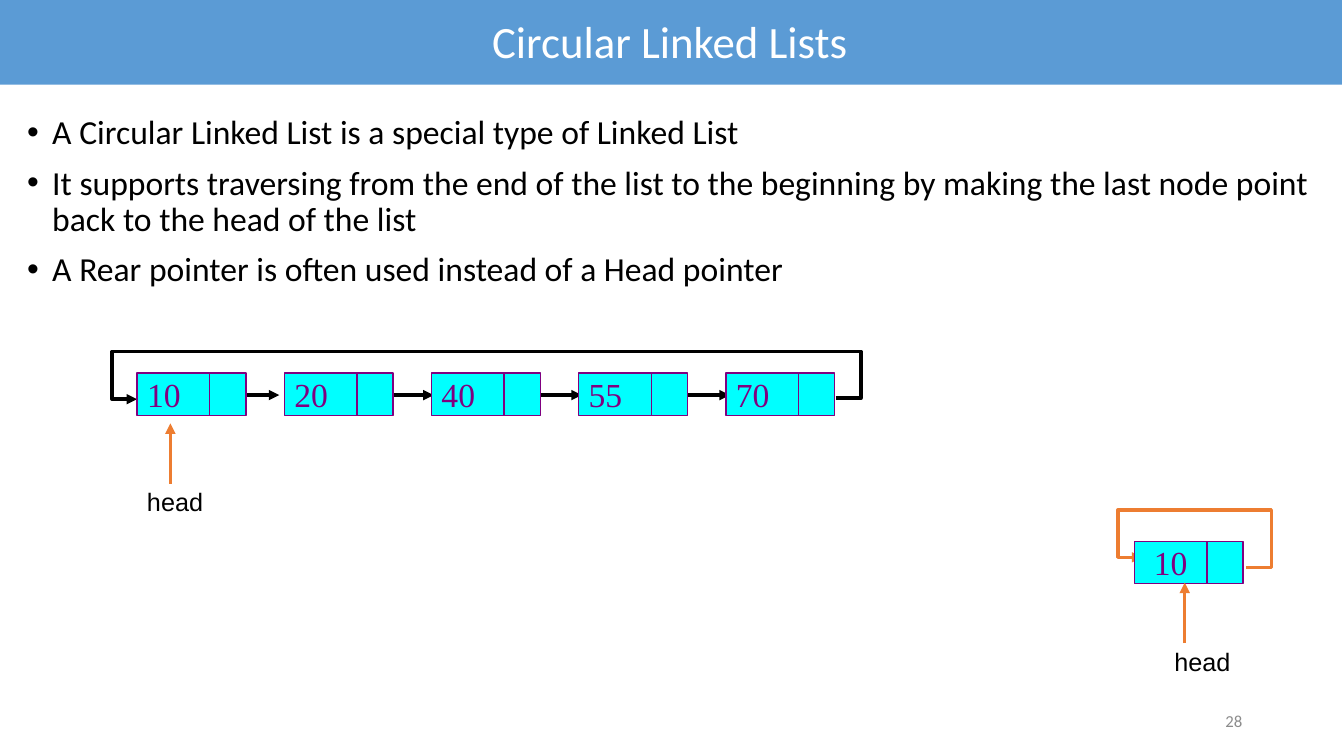
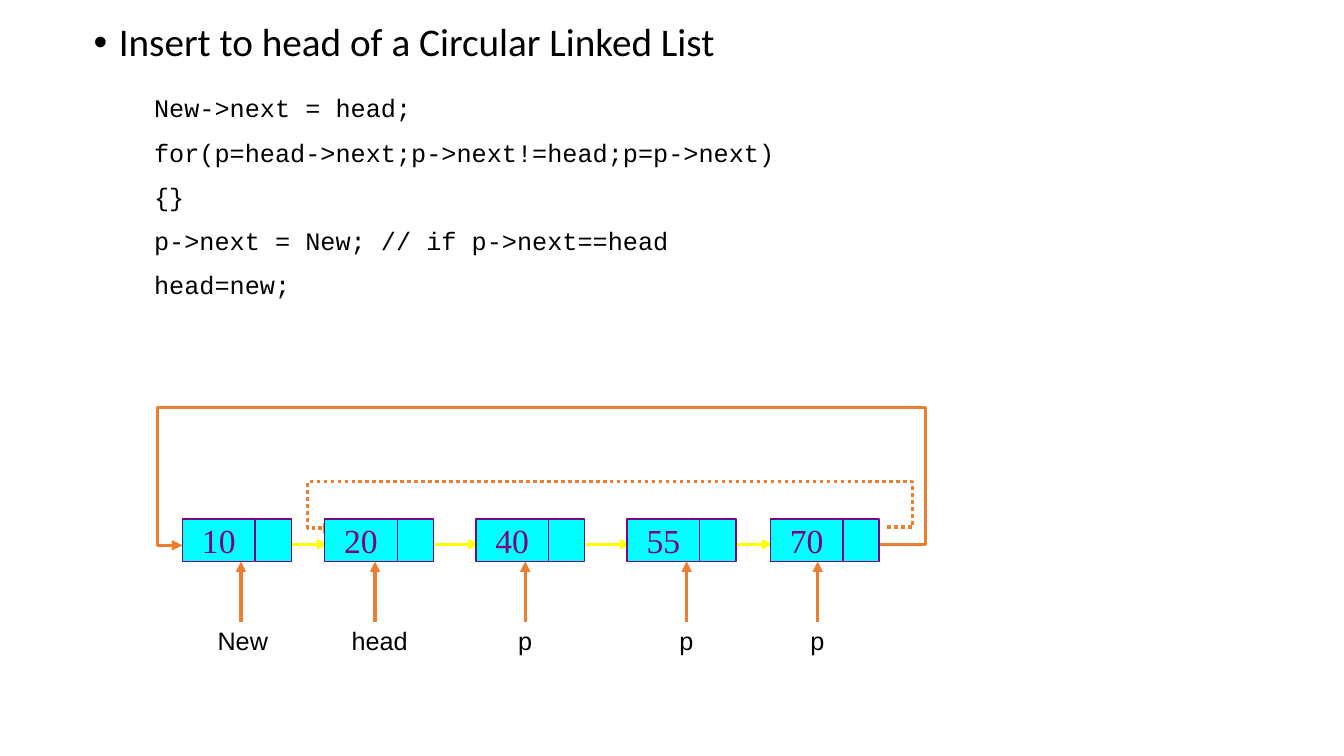
from pptx import Presentation
from pptx.dml.color import RGBColor
from pptx.enum.dml import MSO_LINE
from pptx.enum.shapes import MSO_CONNECTOR, MSO_SHAPE
from pptx.enum.text import MSO_ANCHOR, PP_ALIGN
from pptx.oxml import parse_xml
from pptx.oxml.ns import nsdecls, qn
from pptx.util import Inches, Pt

BLACK = RGBColor(0x00, 0x00, 0x00)
WHITE = RGBColor(0xFF, 0xFF, 0xFF)
GRAY = RGBColor(0x8C, 0x8C, 0x8C)
BLUE = RGBColor(0x5B, 0x9B, 0xD5)
ORANGE = RGBColor(0xED, 0x7D, 0x31)
YELLOW = RGBColor(0xFF, 0xFF, 0x00)
CYAN = RGBColor(0x00, 0xFF, 0xFF)
PURPLE = RGBColor(0x80, 0x00, 0x80)

LEFT, CENTER, RIGHT = PP_ALIGN.LEFT, PP_ALIGN.CENTER, PP_ALIGN.RIGHT
TOP, MIDDLE = MSO_ANCHOR.TOP, MSO_ANCHOR.MIDDLE
RECTANGLE = MSO_SHAPE.RECTANGLE
STRAIGHT, ELBOW = MSO_CONNECTOR.STRAIGHT, MSO_CONNECTOR.ELBOW
DOTTED = MSO_LINE.ROUND_DOT

VALUE_WIDTH, NEXT_WIDTH, NODE_HEIGHT = 0.72, 0.36, 0.42
LINK_LENGTH = 0.44
POINTER_LENGTH = 0.6
LOOP_DROP = 0.01  # an elbow's bends are fractions of its height, so it needs one


def write(shape, lines, font, size, color, align=LEFT, anchor=TOP,
          space_before=0, line_spacing=None, bullet_indent=0):
    frame = shape.text_frame
    frame.word_wrap = True
    frame.vertical_anchor = anchor
    for index, line in enumerate(lines):
        paragraph = frame.add_paragraph() if index else frame.paragraphs[0]
        paragraph.alignment = align
        paragraph.space_before = Pt(space_before)
        if line_spacing:
            paragraph.line_spacing = line_spacing
        if bullet_indent:
            add_bullet(paragraph, bullet_indent)
        run = paragraph.add_run()
        run.text = line
        run.font.name = font
        run.font.size = Pt(size)
        run.font.color.rgb = color


def add_bullet(paragraph, indent):
    properties = paragraph._p.get_or_add_pPr()
    properties.set("marL", str(Inches(indent)))
    properties.set("indent", str(-Inches(indent)))
    properties.append(parse_xml(f'<a:buFont {nsdecls("a")} typeface="Arial"/>'))
    properties.append(parse_xml(f'<a:buChar {nsdecls("a")} char="•"/>'))


def add_text(slide, box, lines, font, size, color=BLACK, **options):
    shape = slide.shapes.add_textbox(*map(Inches, box))
    write(shape, lines, font, size, color, **options)


def add_bullets(slide, box, lines, size):
    add_text(slide, box, lines, "Calibri", size,
             space_before=10, line_spacing=0.9, bullet_indent=0.25)


def add_rectangle(shapes, box, fill, border=None):
    shape = shapes.add_shape(RECTANGLE, *map(Inches, box))
    shape.shadow.inherit = False
    shape.fill.solid()
    shape.fill.fore_color.rgb = fill
    if border is None:
        shape.line.fill.background()
    else:
        shape.line.color.rgb = border
        shape.line.width = Pt(1)
    return shape


def add_title_band(slide, title):
    band = add_rectangle(slide.shapes, (-0.02, -0.04, 13.33, 0.88), BLUE)
    write(band, [title], "Calibri", 32, WHITE, align=CENTER, anchor=MIDDLE)


def add_page_number(slide, number):
    add_text(slide, (9.42, 6.95, 3, 0.4), [number], "Calibri", 12, GRAY,
             align=RIGHT, anchor=MIDDLE)


def add_arrow(slide, start, end, color, kind=STRAIGHT, dash=None):
    arrow = slide.shapes.add_connector(kind, *map(Inches, (*start, *end)))
    arrow.line.color.rgb = color
    arrow.line.width = Pt(2.5)
    if dash is not None:
        arrow.line.dash_style = dash
    properties = arrow._element.spPr
    properties.find(qn("a:ln")).append(
        parse_xml(f'<a:tailEnd {nsdecls("a")} type="triangle"/>'))
    properties.append(parse_xml(f'<a:effectLst {nsdecls("a")}/>'))
    return arrow


def add_loop(slide, start, end, left, top, right, color, dash=None):
    """Arrow that leaves to the right, runs back along the top and enters from the left."""
    arrow = add_arrow(slide, start, end, color, ELBOW, dash)
    run, rise = end[0] - start[0], end[1] - start[1]
    bends = ((right - start[0]) / run, (top - start[1]) / rise, (left - start[0]) / run)
    guides = "".join(f'<a:gd name="adj{number}" fmla="val {round(bend * 100000)}"/>'
                     for number, bend in enumerate(bends, 1))
    properties = arrow._element.spPr
    properties.replace(properties.find(qn("a:prstGeom")), parse_xml(
        f'<a:prstGeom {nsdecls("a")} prst="bentConnector5">'
        f'<a:avLst>{guides}</a:avLst></a:prstGeom>'))


def add_links(slide, starts, y, color):
    for x in starts:
        add_arrow(slide, (x, y), (x + LINK_LENGTH, y), color)


def add_node(slide, left, top, value, align=CENTER):
    shapes = slide.shapes.add_group_shape().shapes
    cell = add_rectangle(shapes, (left, top, VALUE_WIDTH, NODE_HEIGHT), CYAN, PURPLE)
    write(cell, [value], "Times New Roman", 24, PURPLE, align=align, anchor=MIDDLE)
    add_rectangle(shapes, (left + VALUE_WIDTH, top, NEXT_WIDTH, NODE_HEIGHT), CYAN, PURPLE)


def add_pointer(slide, x, tip, name, label_left):
    add_text(slide, (label_left, tip + 0.58, 1, 0.4), [name], "Arial", 18)
    add_arrow(slide, (x, tip + POINTER_LENGTH), (x, tip), ORANGE)


def build_definition_slide(slide):
    add_page_number(slide, "28")
    add_title_band(slide, "Circular Linked Lists")
    add_bullets(slide, (0.17, 1.1, 13.14, 1.83), [
        "A Circular Linked List is a special type of Linked List",
        "It supports traversing from the end of the list to the beginning by making "
        "the last node point back to the head of the list",
        "A Rear pointer is often used instead of a Head pointer",
    ], 24)

    add_links(slide, (2.33, 3.86, 5.33, 6.8), 3.92, BLACK)
    add_loop(slide, (8.29, 3.95), (1.36, 3.95 + LOOP_DROP), 1.11, 3.48, 8.54, BLACK)
    for index, value in enumerate(("10", "20", "40", "55", "70")):
        add_node(slide, 1.36 + 1.46 * index, 3.7, value, LEFT)
    add_pointer(slide, 1.69, 4.2, "head", 1.36)

    add_loop(slide, (12.36, 5.63), (11.33, 5.53), 11.09, 5.06, 12.61, ORANGE)
    add_node(slide, 11.25, 5.37, "10")
    add_pointer(slide, 11.75, 5.78, "head", 11.55)


def build_insertion_slide(slide):
    add_bullets(slide, (0.83, 0.18, 8.58, 4.75),
                ["Insert to head of a Circular Linked List"], 28)
    add_text(slide, (1.43, 0.87, 8.42, 2.22), [
        "New->next = head;",
        "for(p=head->next;p->next!=head;p=p->next)",
        "{}",
        "p->next = New; // if p->next==head",
        "head=new;",
    ], "Courier New", 18, space_before=10)

    add_links(slide, (2.81, 4.31, 5.81, 7.22), 5.4, YELLOW)
    add_loop(slide, (8.73, 5.4), (1.81, 5.4 + LOOP_DROP), 1.56, 4.02, 9.18, ORANGE)
    add_loop(slide, (8.8, 5.23), (3.31, 5.23 + LOOP_DROP), 3.05, 4.77, 9.05, ORANGE, DOTTED)
    nodes = ((1.81, "10"), (3.22, "20"), (4.72, "40"), (6.22, "55"), (7.64, "70"))
    for left, value in nodes:
        add_node(slide, left, 5.15, value)
    pointers = ((2.39, "New", 2.06), (3.72, "head", 3.39),
                (5.21, "p", 5.04), (6.81, "p", 6.64), (8.11, "p", 7.94))
    for x, name, label_left in pointers:
        add_pointer(slide, x, 5.57, name, label_left)


def main():
    presentation = Presentation()
    presentation.slide_width = Inches(13.33)
    presentation.slide_height = Inches(7.5)
    blank = presentation.slide_layouts[6]
    for build in (build_definition_slide, build_insertion_slide):
        build(presentation.slides.add_slide(blank))
    presentation.save("out.pptx")


if __name__ == "__main__":
    main()
